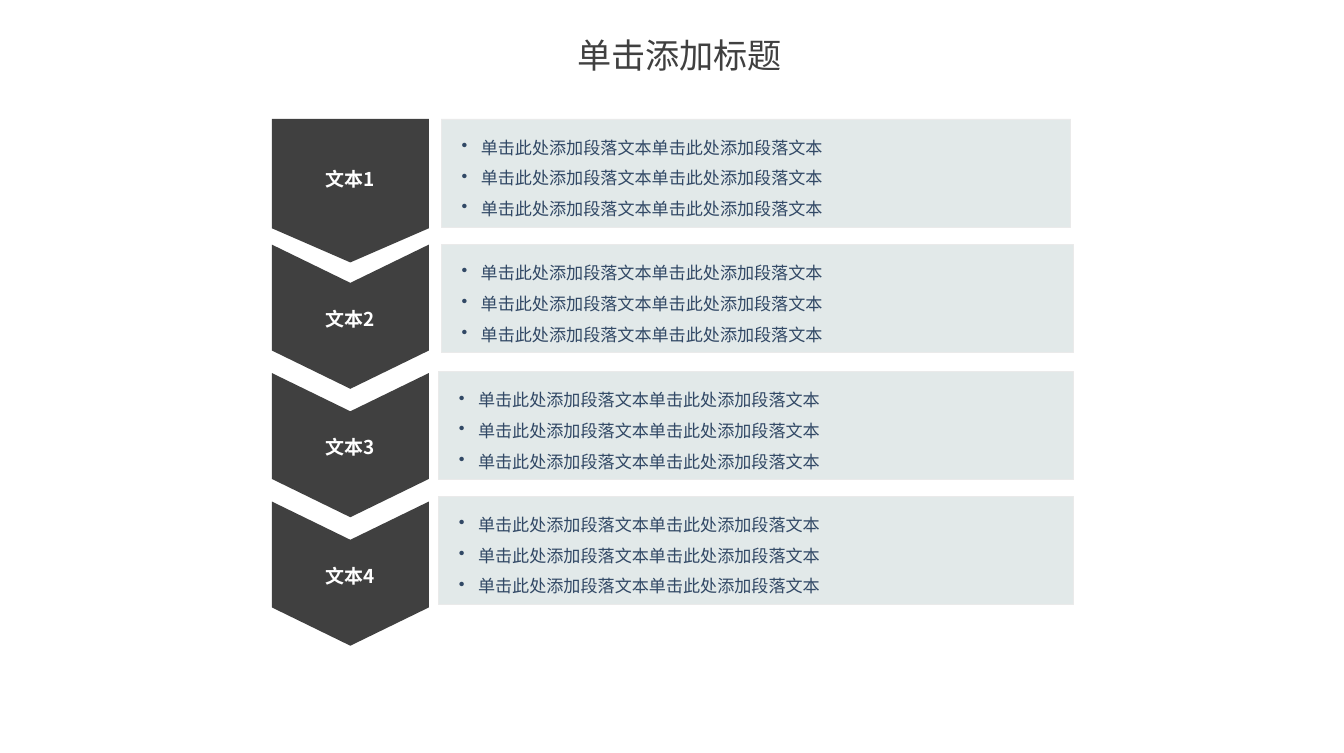
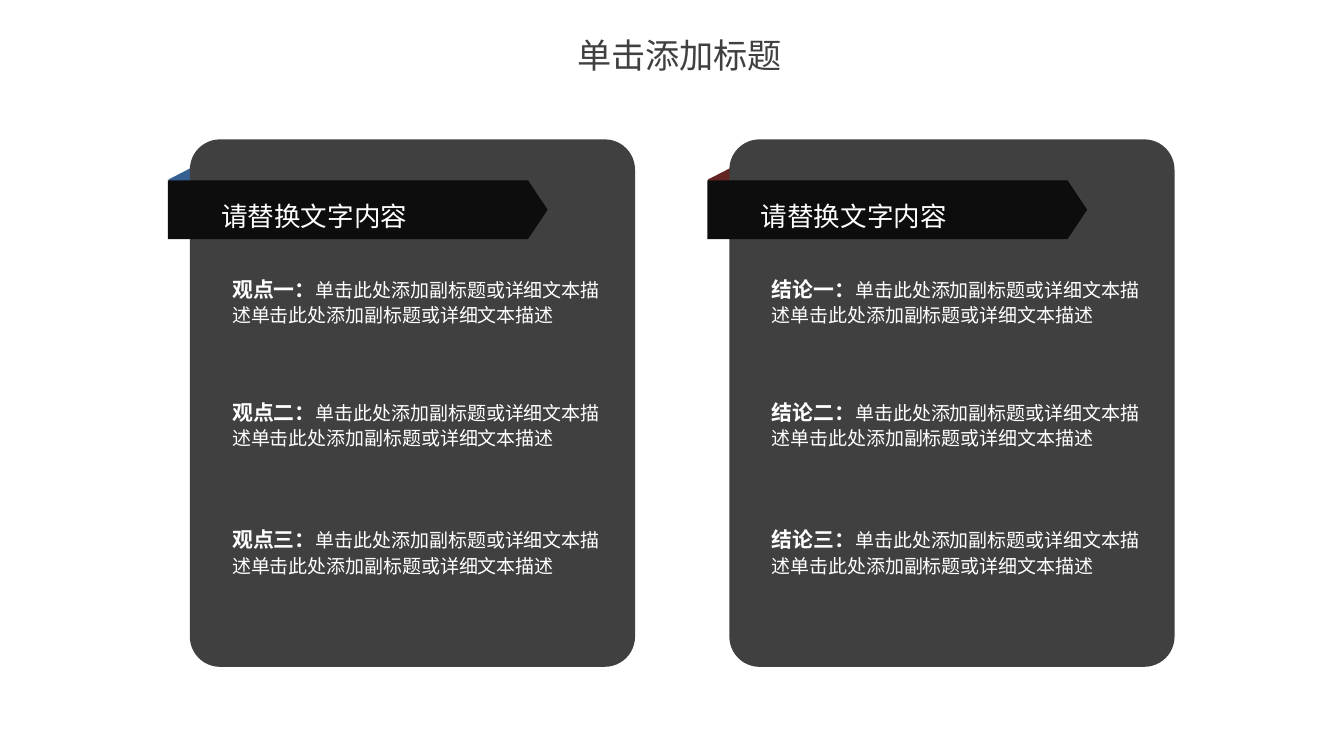
from lxml import etree
from pptx import Presentation
from pptx import util as u
from pptx.dml.color import RGBColor
from pptx.enum import shapes, text
from pptx.oxml.ns import qn

FONT = "Noto Sans CJK SC"
WHITE = RGBColor(0xFF, 0xFF, 0xFF)
CHARCOAL = RGBColor(0x40, 0x40, 0x40)
BLACK = RGBColor(0x0D, 0x0D, 0x0D)
PANEL = RGBColor(0xE2, 0xE9, 0xE9)
PANEL_EDGE = RGBColor(0xEA, 0xEA, 0xEA)
NAVY = RGBColor(0x31, 0x48, 0x65)
BLUE = RGBColor(0x37, 0x60, 0x92)
MAROON = RGBColor(0x63, 0x25, 0x23)

TITLE = {"size": u.Pt(18), "bold": False, "color": CHARCOAL}
STEP = {"size": u.Pt(10), "bold": True, "color": WHITE}
BULLET = {"size": u.Pt(9), "bold": False, "color": NAVY}
HEADING = {"size": u.Pt(14), "bold": False, "color": WHITE}
LABEL = {"size": u.Pt(11), "bold": True, "color": WHITE}
DETAIL = {"size": u.Pt(10), "bold": False, "color": WHITE}

STEP_LEFT, STEP_WIDTH = 1.99, 1.15
STEPS = [
    {"top": 0.87, "notch": 0, "shoulder": 0.8, "tip": 1.05, "bottom_inset": 0.26,
     "panel": (3.23, 0.87, 4.61, 0.79)},
    {"top": 1.79, "panel": (3.23, 1.79, 4.63, 0.79)},
    {"top": 2.73, "panel": (3.21, 2.72, 4.65, 0.79)},
    {"top": 3.67, "panel": (3.21, 3.63, 4.65, 0.79)},
]
BULLET_TEXT = "单击此处添加段落文本" * 2
DETAIL_TEXT = "单击此处添加副标题或详细文本描述" * 2
CARDS = [(1.39, "观点", BLUE), (5.34, "结论", MAROON)]
ITEM_TOPS = {"一": 2.03, "二": 2.93, "三": 3.86}


def inches(*lengths):
    return [u.Inches(length) for length in lengths]


def set_frame(shape, anchor, insets=(0, 0, 0, 0), wrap=True):
    left, top, right, bottom = inches(*insets)
    settings = {
        "margin_left": left, "margin_top": top,
        "margin_right": right, "margin_bottom": bottom,
        "vertical_anchor": anchor, "word_wrap": wrap,
        "auto_size": text.MSO_AUTO_SIZE.NONE,
    }
    for name, value in settings.items():
        setattr(shape.text_frame, name, value)
    return shape.text_frame


def write(paragraph, runs, alignment=text.PP_ALIGN.LEFT, line_spacing=1.0):
    paragraph.alignment = alignment
    paragraph.line_spacing = line_spacing
    paragraph.space_before = u.Pt(0)
    for content, style in runs:
        run = paragraph.add_run()
        run.text = content
        for name in ("size", "bold"):
            setattr(run.font, name, style[name])
        run.font.color.rgb = style["color"]
        run.font.name = FONT
        etree.SubElement(run.font._element, qn("a:ea"), typeface=FONT)


def add_bullet(paragraph):
    properties = paragraph._p.get_or_add_pPr()
    properties.set("marL", str(u.Inches(0.14)))
    properties.set("indent", str(u.Inches(-0.14)))
    etree.SubElement(properties, qn("a:buChar"), char="•")


def paint(shape, fill, edge=None):
    shape.shadow.inherit = False
    shape.fill.solid()
    shape.fill.fore_color.rgb = fill
    if edge is None:
        shape.line.fill.background()
    else:
        shape.line.color.rgb = edge
        shape.line.width = u.Pt(0.25)
    return shape


def add_box(slide, kind, place, fill, edge=None):
    return paint(slide.shapes.add_shape(kind, *inches(*place)), fill, edge)


def add_text(slide, place, runs, line_spacing):
    box = slide.shapes.add_textbox(*inches(*place))
    frame = set_frame(box, text.MSO_ANCHOR.TOP)
    write(frame.paragraphs[0], runs, line_spacing=line_spacing)


def add_titled_slide(presentation, title):
    slide = presentation.slides.add_slide(presentation.slide_layouts[5])
    shape = slide.shapes.title
    shape.left, shape.top, shape.width, shape.height = inches(4.22, 0.25, 1.51, 0.3)
    frame = set_frame(shape, text.MSO_ANCHOR.MIDDLE, wrap=False)
    write(frame.paragraphs[0], [(title, TITLE)], text.PP_ALIGN.CENTER)
    return slide


def add_panel(slide, place):
    panel = add_box(slide, shapes.MSO_SHAPE.RECTANGLE, place, PANEL, PANEL_EDGE)
    frame = set_frame(panel, text.MSO_ANCHOR.MIDDLE, (0.15, 0.05, 0.1, 0.05))
    for index in range(3):
        paragraph = frame.add_paragraph() if index else frame.paragraphs[0]
        add_bullet(paragraph)
        write(paragraph, [(BULLET_TEXT, BULLET)], line_spacing=1.5)


def add_step(slide, label, top, notch=0.28, shoulder=0.775, tip=1.055, bottom_inset=0.05):
    middle, right = STEP_LEFT + STEP_WIDTH / 2, STEP_LEFT + STEP_WIDTH
    points = [(right, top), (right, top + shoulder), (middle, top + tip),
              (STEP_LEFT, top + shoulder)]
    if notch:
        points.insert(0, (middle, top + notch))
    builder = slide.shapes.build_freeform(*inches(STEP_LEFT, top))
    builder.add_line_segments([inches(*point) for point in points], close=True)
    step = paint(builder.convert_to_shape(), CHARCOAL)
    frame = set_frame(step, text.MSO_ANCHOR.MIDDLE, (0.1, 0.05, 0.1, bottom_inset))
    write(frame.paragraphs[0], [(label, STEP)], text.PP_ALIGN.CENTER, 1.2)


def add_card(slide, left, topic, fold_color):
    fold = add_box(slide, shapes.MSO_SHAPE.FLOWCHART_DATA,
                   (left - 0.32, 1.37, 0.54, 0.21), fold_color)
    fold.rotation = 270
    fold._element.spPr.find(qn("a:xfrm")).set("flipH", "1")
    card = add_box(slide, shapes.MSO_SHAPE.ROUNDED_RECTANGLE,
                   (left, 1.02, 3.26, 3.86), CHARCOAL)
    card.adjustments[0] = 0.068
    ribbon = add_box(slide, shapes.MSO_SHAPE.PENTAGON,
                     (left - 0.16, 1.32, 2.78, 0.43), BLACK)
    ribbon.adjustments[0] = 0.335
    add_text(slide, (left + 0.23, 1.42, 1.83, 0.26), [("请替换文字内容", HEADING)], 1.2)
    for number, top in ITEM_TOPS.items():
        runs = [(f"{topic}{number}：", LABEL), (DETAIL_TEXT, DETAIL)]
        add_text(slide, (left + 0.31, top, 2.71, 0.36), runs, u.Pt(13))


def main():
    presentation = Presentation()
    presentation.slide_width, presentation.slide_height = inches(9.84, 5.51)

    slide = add_titled_slide(presentation, "单击添加标题")
    for number, step in enumerate(STEPS, 1):
        outline = {name: value for name, value in step.items() if name != "panel"}
        add_panel(slide, step["panel"])
        add_step(slide, f"文本{number}", **outline)

    slide = add_titled_slide(presentation, "单击添加标题")
    for card in CARDS:
        add_card(slide, *card)

    presentation.save("out.pptx")


if __name__ == "__main__":
    main()
